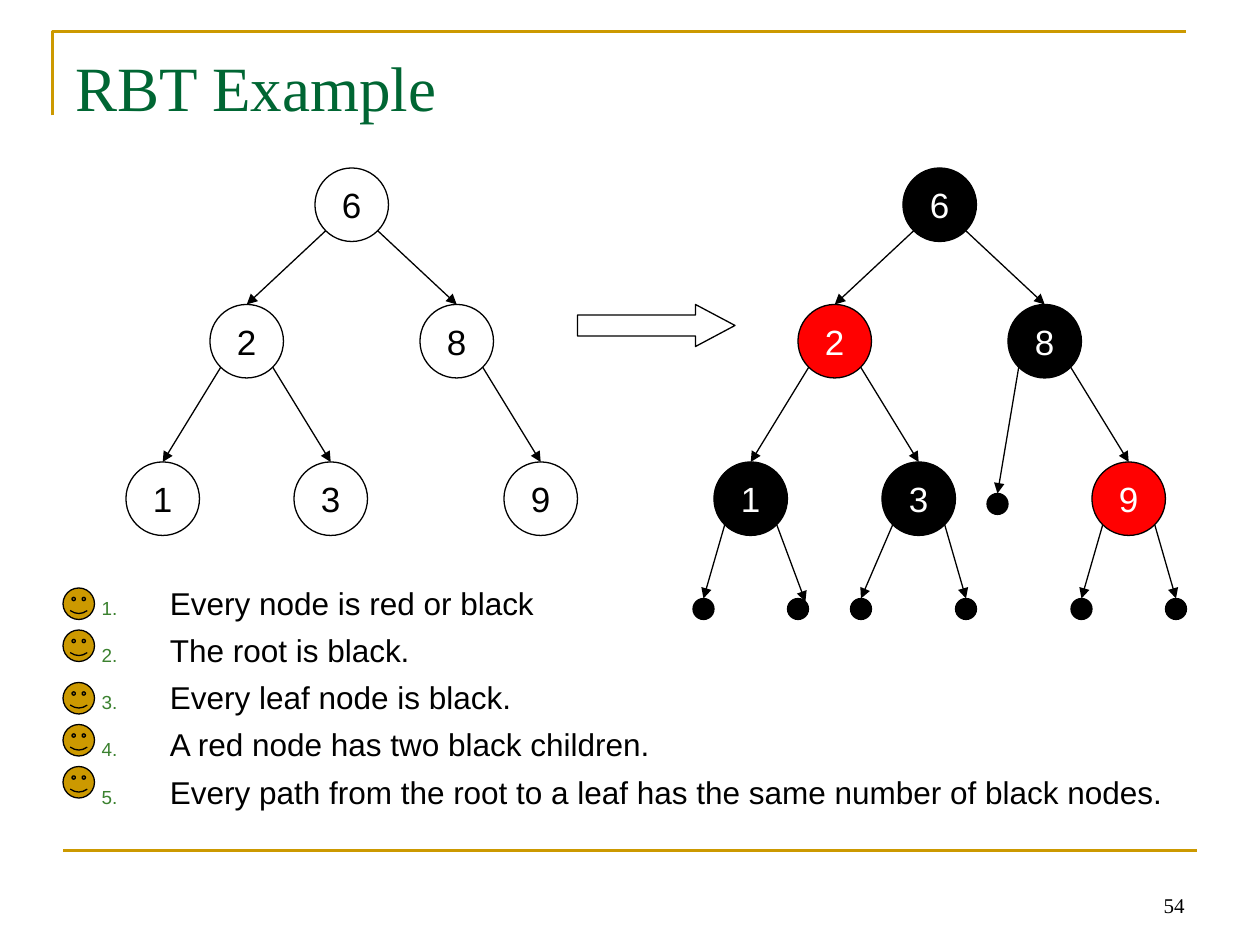
import math
from dataclasses import dataclass

from lxml import etree
from pptx import Presentation
from pptx import util as u
from pptx.dml.color import RGBColor
from pptx.enum import shapes, text
from pptx.oxml import ns


@dataclass(frozen=True)
class Theme:
    black: str = "000000"
    white: str = "FFFFFF"
    red: str = "FF0101"
    gold: str = "CC9900"
    title_green: str = "006633"
    number_green: str = "3B812F"
    serif: str = "Times New Roman"
    sans: str = "Arial"
    title_size: float = 36
    node_size: float = 20
    rule_size: float = 18
    page_size: float = 12
    thin: float = 0.75
    thick: float = 1.5


THEME = Theme()
NODE, LEAF = 42, 12  # diameters
TREE_SHIFT = 336  # from the plain tree to the coloured tree

# Node label: left, top, fill in the coloured tree
NODES = {
    "6": (180, 96, THEME.black),
    "2": (120, 174, THEME.red),
    "8": (240, 174, THEME.black),
    "1": (72, 264, THEME.black),
    "3": (168, 264, THEME.black),
    "9": (288, 264, THEME.red),
}
# Parent, child, side of the parent (-1 left, 1 right)
EDGES = [("6", "2", -1), ("6", "8", 1), ("2", "1", -1), ("2", "3", 1), ("8", "9", 1)]
# Parent, side, leaf left, leaf top
LEAVES = [
    ("1", -1, 396, 342), ("1", 1, 450, 342),
    ("3", -1, 486, 342), ("3", 1, 546, 342),
    ("8", -1, 564, 282),
    ("9", -1, 612, 342), ("9", 1, 666, 342),
]
RULES = [
    "Every node is red or black",
    "The root is black.",
    "Every leaf node is black.",
    "A red node has two black children.",
    "Every path from the root to a leaf has the same number of black nodes.",
]
SMILEY_TOPS = [336, 360, 390, 414, 438]


def rgb(color):
    return RGBColor.from_string(color)


def style_runs(paragraph, font, size, color):
    for run in paragraph.runs:
        run.font.name = font
        run.font.size = u.Pt(size)
        run.font.color.rgb = rgb(color)


def style_line(shape, color, width):
    shape.line.color.rgb = rgb(color)
    shape.line.width = u.Pt(width)


def add_shape(slide, kind, left, top, width, height, fill=None):
    shape = slide.shapes.add_shape(kind, *map(u.Pt, (left, top, width, height)))
    shape.shadow.inherit = False
    if fill:
        shape.fill.solid()
        shape.fill.fore_color.rgb = rgb(fill)
    else:
        shape.fill.background()
    style_line(shape, THEME.black, THEME.thin)
    return shape


def add_text(slide, box, lines, font, size, color, anchor=text.MSO_ANCHOR.TOP):
    frame = slide.shapes.add_textbox(*map(u.Pt, box)).text_frame
    frame.word_wrap = True
    frame.vertical_anchor = anchor
    frame.text = "\n".join(lines)
    for paragraph in frame.paragraphs:
        style_runs(paragraph, font, size, color)
    return frame


def add_line(slide, start, end, color, width, arrow=False):
    line = slide.shapes.add_connector(
        shapes.MSO_CONNECTOR.STRAIGHT, *map(u.Pt, (*start, *end)))
    style_line(line, color, width)
    if arrow:
        etree.SubElement(line.line._get_or_add_ln(), ns.qn("a:tailEnd"), type="triangle")
    etree.SubElement(line._element.spPr, ns.qn("a:effectLst"))


def add_node(slide, label, left, top, fill, color):
    node = add_shape(slide, shapes.MSO_SHAPE.OVAL, left, top, NODE, NODE, fill)
    frame = node.text_frame
    frame.margin_left = frame.margin_right = frame.margin_top = frame.margin_bottom = 0
    frame.word_wrap = False
    frame.vertical_anchor = text.MSO_ANCHOR.MIDDLE
    frame.text = label
    frame.paragraphs[0].alignment = text.PP_ALIGN.CENTER
    style_runs(frame.paragraphs[0], THEME.sans, THEME.node_size, color)


def lower_corner(label, side, shift):
    """Point on a node's rim, 45 degrees below the horizontal."""
    left, top, _ = NODES[label]
    radius = NODE / 2
    reach = radius * math.sqrt(0.5)
    return left + shift + radius + side * reach, top + radius + reach


def add_tree(slide, shift, colored):
    for label, (left, top, fill) in NODES.items():
        add_node(slide, label, left + shift, top, fill if colored else None,
                 THEME.white if colored else THEME.black)
    for parent, child, side in EDGES:
        left, top, _ = NODES[child]
        add_line(slide, lower_corner(parent, side, shift),
                 (left + shift + NODE / 2, top), THEME.black, THEME.thin, arrow=True)


def add_leaves(slide):
    for parent, side, left, top in LEAVES:
        add_shape(slide, shapes.MSO_SHAPE.OVAL, left, top, LEAF, LEAF, THEME.black)
        end = (left + LEAF / 2, top)
        if (parent, side) == ("1", 1):  # this arrow meets the leaf's upper right
            end = (left + 10.24, top + 1.76)
        add_line(slide, lower_corner(parent, side, TREE_SHIFT), end,
                 THEME.black, THEME.thin, arrow=True)


def add_rules(slide):
    frame = add_text(slide, (24, 330, 648, 150), RULES,
                     THEME.sans, THEME.rule_size, THEME.black)
    for index, paragraph in enumerate(frame.paragraphs):
        properties = paragraph._p.get_or_add_pPr()
        properties.set("marL", str(u.Pt(66)))
        properties.set("indent", str(u.Pt(-39)))
        color = etree.SubElement(properties, ns.qn("a:buClr"))
        etree.SubElement(color, ns.qn("a:srgbClr"), val=THEME.number_green)
        etree.SubElement(properties, ns.qn("a:buSzPct"), val="60000")
        etree.SubElement(properties, ns.qn("a:buFont"), typeface=THEME.sans)
        etree.SubElement(properties, ns.qn("a:buAutoNum"), type="arabicPeriod")
        if index:
            paragraph.space_before = u.Pt(5.4)
    for top in SMILEY_TOPS:
        smiley = add_shape(slide, shapes.MSO_SHAPE.SMILEY_FACE, 36, top, 18, 18, THEME.gold)
        smiley.adjustments[0] = 0.09


def add_frame(slide):
    builder = slide.shapes.build_freeform(30, 66, scale=u.Pt(1))
    builder.add_line_segments([(30, 18), (678, 18)], close=False)
    corner = builder.convert_to_shape()
    corner.shadow.inherit = False
    corner.fill.background()
    style_line(corner, THEME.gold, THEME.thick)
    add_line(slide, (36, 486), (684, 486), THEME.gold, THEME.thick)


def main():
    presentation = Presentation()
    presentation.slide_width, presentation.slide_height = u.Pt(720), u.Pt(540)
    slide = presentation.slides.add_slide(presentation.slide_layouts[6])

    # Frame, title and page number
    add_frame(slide)
    add_text(slide, (36, 24, 648, 90), ["RBT Example"],
             THEME.serif, THEME.title_size, THEME.title_green)
    page = add_text(slide, (516, 492, 168, 36), ["54"], THEME.serif, THEME.page_size,
                    THEME.black, text.MSO_ANCHOR.BOTTOM)
    page.paragraphs[0].alignment = text.PP_ALIGN.RIGHT

    # Plain tree, arrow, coloured tree
    add_tree(slide, 0, colored=False)
    arrow = add_shape(slide, shapes.MSO_SHAPE.RIGHT_ARROW, 330, 174, 90, 24)
    arrow.adjustments[1] = 0.94
    add_tree(slide, TREE_SHIFT, colored=True)
    add_leaves(slide)

    # Numbered rules with smileys
    add_rules(slide)
    presentation.save("out.pptx")


if __name__ == "__main__":
    main()
